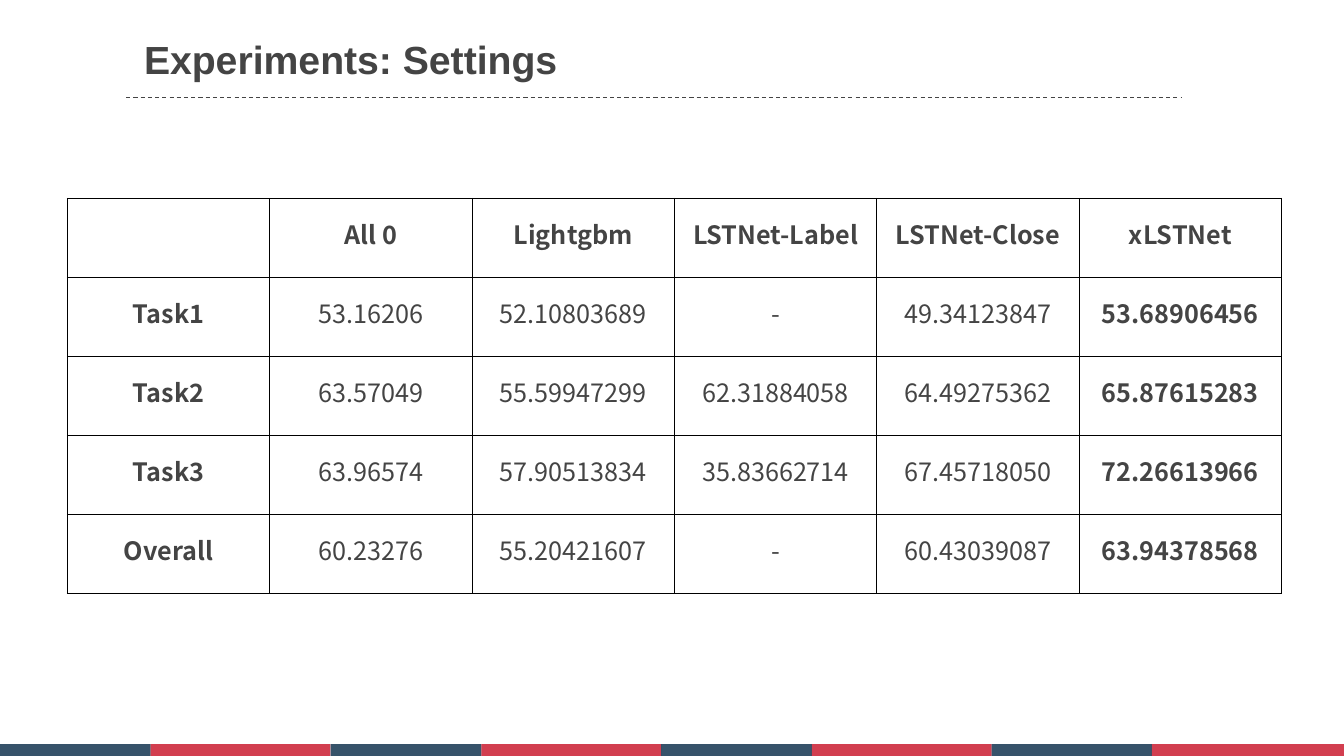
from lxml import etree
from pptx import Presentation
from pptx import util as u
from pptx.dml.color import RGBColor
from pptx.enum import dml, shapes, text
from pptx.oxml import ns

Cm, Pt = u.Cm, u.Pt


def color(value):
    return RGBColor.from_string(value)


def child(parent, tag, **attributes):
    return etree.SubElement(parent, ns.qn(tag), attributes)


class SlideBuilder:
    ink, navy, red, border = "444444", "062845", "C70E23", "000000"
    title_font, table_font = "Arial", "Noto Sans CJK SC"

    def __init__(self, page):
        self.page = page

    def style(self, para, font, size, bold):
        for span in para.runs:
            span.font.name = font
            span.font.size = Pt(size)
            span.font.bold = bold
            span.font.color.rgb = color(self.ink)

    def band(self, left, top, width, height, fill):
        box = self.page.shapes.add_shape(
            shapes.MSO_SHAPE.RECTANGLE, Cm(left), Cm(top), Cm(width), Cm(height))
        box.shadow.inherit = False
        box.fill.solid()
        box.fill.fore_color.rgb = color(fill)
        box.line.fill.background()
        shade = box.fill._xPr.find(".//" + ns.qn("a:srgbClr"))
        child(shade, "a:alpha", val="80000")

    def rule(self, left, right, top):
        line = self.page.shapes.add_connector(
            shapes.MSO_CONNECTOR.STRAIGHT, Cm(left), Cm(top), Cm(right), Cm(top))
        line.line.color.rgb = color(self.ink)
        line.line.width = Pt(0.75)
        line.line.dash_style = dml.MSO_LINE.DASH
        child(line._element.spPr, "a:effectLst")

    def title(self, wording, left, top, width, height):
        box = self.page.shapes.add_textbox(Cm(left), Cm(top), Cm(width), Cm(height))
        frame = box.text_frame
        frame.word_wrap = True
        frame.margin_left = frame.margin_right = 0
        frame.margin_top = frame.margin_bottom = 0
        frame.text = wording
        self.style(frame.paragraphs[0], self.title_font, 28, True)

    def outline(self, cell):
        properties = cell._tc.get_or_add_tcPr()
        for side in ("a:lnL", "a:lnR", "a:lnT", "a:lnB"):
            edge = child(properties, side, w=str(Pt(1)))
            child(child(edge, "a:solidFill"), "a:srgbClr", val=self.border)

    def table(self, rows, left, top, column_width, row_height):
        columns = len(rows[0])
        grid = self.page.shapes.add_table(
            len(rows), columns, Cm(left), Cm(top),
            Cm(column_width * columns), Cm(row_height * len(rows))).table
        grid.first_row = grid.horz_banding = False
        for column in grid.columns:
            column.width = Cm(column_width)
        for r, values in enumerate(rows):
            grid.rows[r].height = Cm(row_height)
            for c, value in enumerate(values):
                cell = grid.cell(r, c)
                self.outline(cell)
                cell.fill.background()
                cell.vertical_anchor = text.MSO_ANCHOR.MIDDLE
                cell.margin_left = cell.margin_right = Cm(0.18)
                cell.margin_top = cell.margin_bottom = 0
                cell.text_frame.text = value
                para = cell.text_frame.paragraphs[0]
                para.alignment = text.PP_ALIGN.CENTER
                para.line_spacing = Pt(20)
                bold = r == 0 or c in (0, columns - 1)
                self.style(para, self.table_font, 18, bold)


deck = Presentation()
deck.slide_width, deck.slide_height = Cm(33.87), Cm(19.05)
slide = SlideBuilder(deck.slides.add_slide(deck.slide_layouts[6]))

band_left = 0
for navy_width, red_width in [(3.8, 4.53)] * 3 + [(4.04, 4.84)]:
    slide.band(band_left, 18.75, navy_width, 0.3, slide.navy)
    slide.band(band_left + navy_width, 18.75, red_width, 0.3, slide.red)
    band_left += navy_width + red_width

slide.rule(3.18, 29.77, 2.46)
slide.title("Experiments: Settings", 3.63, 0.89, 16.13, 1.19)

results = [
    ("", "All 0", "Lightgbm", "LSTNet-Label", "LSTNet-Close", "xLSTNet"),
    ("Task1", "53.16206", "52.10803689", "-", "49.34123847", "53.68906456"),
    ("Task2", "63.57049", "55.59947299", "62.31884058", "64.49275362", "65.87615283"),
    ("Task3", "63.96574", "57.90513834", "35.83662714", "67.45718050", "72.26613966"),
    ("Overall", "60.23276", "55.20421607", "-", "60.43039087", "63.94378568"),
]
slide.table(results, 1.7, 5, 5.1, 1.99)

deck.save("out.pptx")
